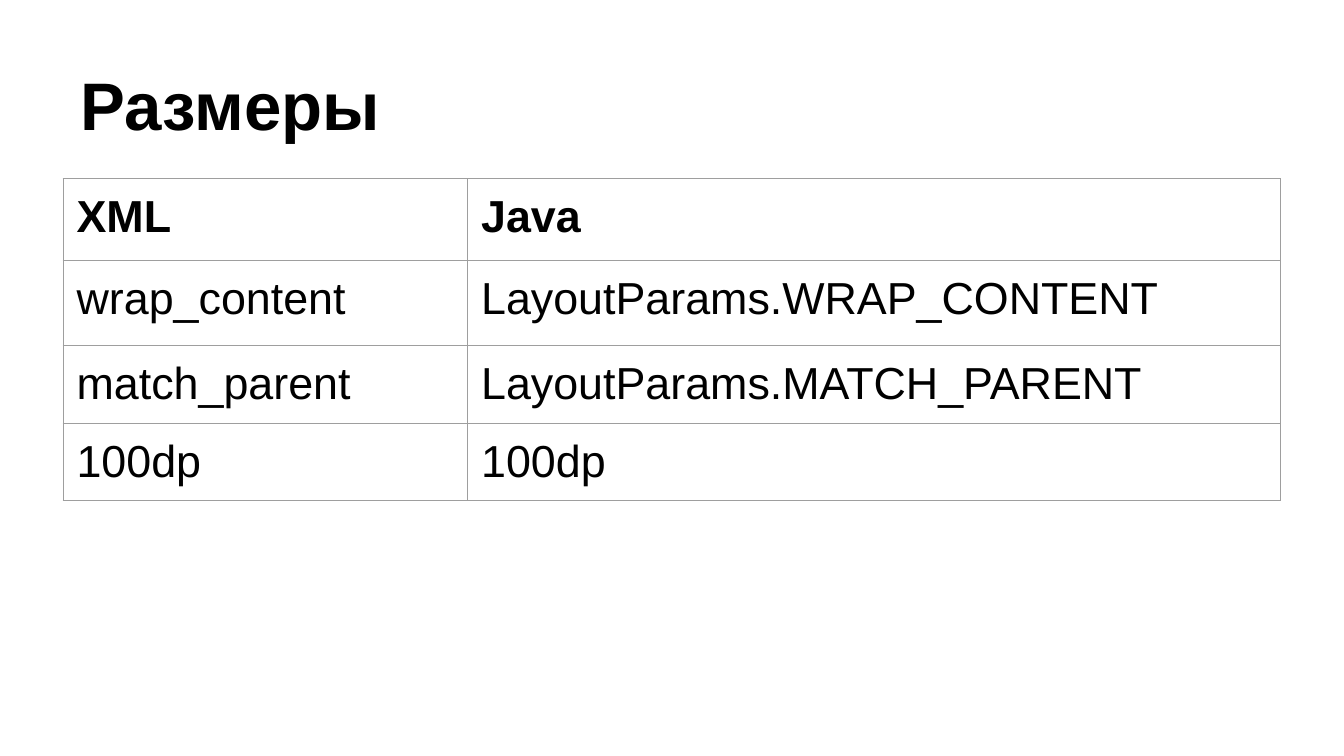
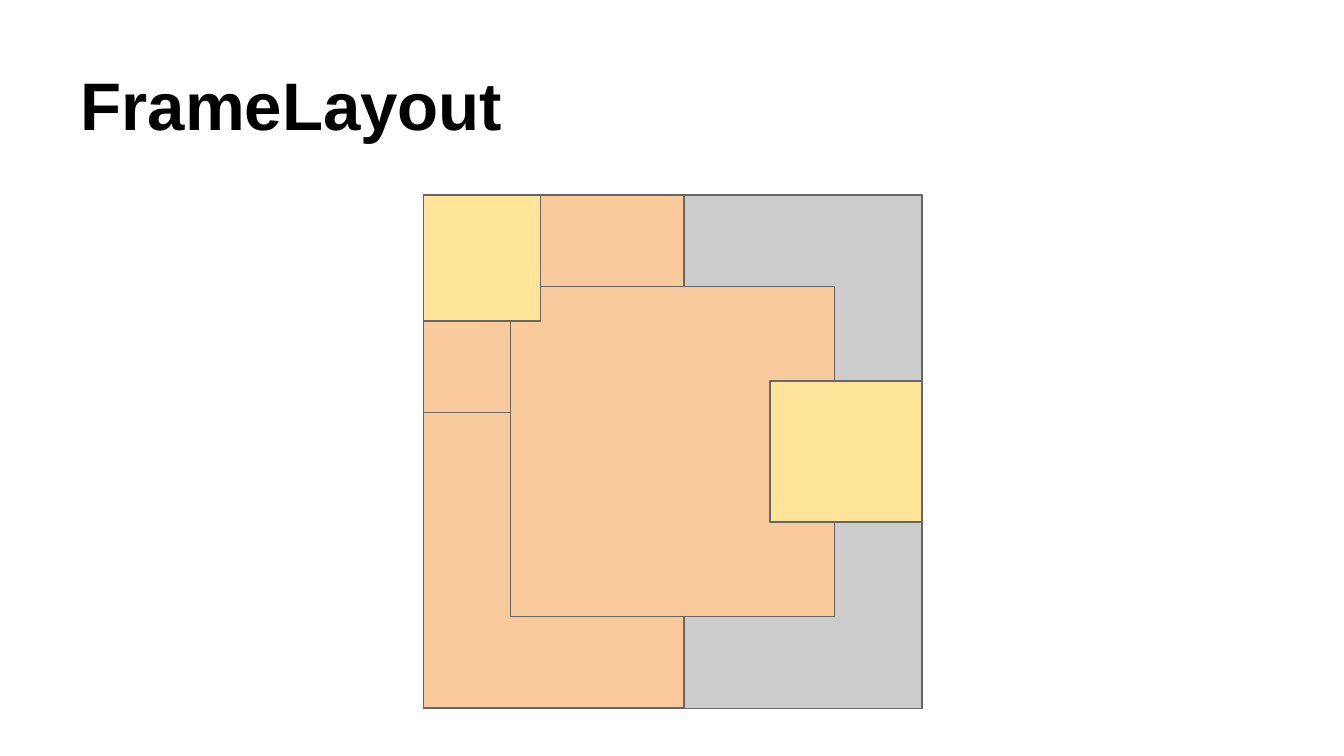
import pptx
import pptx.dml.color
import pptx.enum.shapes
import pptx.enum.text
import pptx.oxml
import pptx.oxml.ns
import pptx.util
from lxml import etree

WIDTH = 10
HEIGHT = WIDTH * 9 / 16
FONT = "Arial"
BLACK, BORDER, OUTLINE = "000000", "9E9E9E", "666666"
GREY, ORANGE, YELLOW = "CCCCCC", "F9CB9C", "FFE599"
INSET, LINE_WIDTH = 0.1, 0.75
TITLE_AREA = (0.5, 0.23, 9, 0.94)

SIZES_TITLE = "Размеры"
SIZES = [
    ("XML", "Java"),
    ("wrap_content", "LayoutParams.WRAP_CONTENT"),
    ("match_parent", "LayoutParams.MATCH_PARENT"),
    ("100dp", "100dp"),
]
TABLE_CORNER = (0.47, 1.33)
COLUMN_WIDTHS = (3.01, 6.05)
ROW_HEIGHTS = (0.61, 0.63, 0.58, 0.56)

FRAME_TITLE = "FrameLayout"
FRAME = (3.15, 1.45, 3.71, 3.82)
# Gravity is the share of free space before the child
START, CENTER, END = 0, 0.5, 1
# Width, height, horizontal gravity, vertical gravity, fill
CHILDREN = [
    (1.94, 1.85, START, START, ORANGE),
    (1.94, 2.2, START, END, ORANGE),
    (2.41, 2.46, CENTER, CENTER, ORANGE),
    (1.13, 1.05, END, CENTER, YELLOW),
    (0.87, 0.94, START, START, YELLOW),
]


def color(value):
    return pptx.dml.color.RGBColor.from_string(value)


def inches(*lengths):
    return [pptx.util.Inches(length) for length in lengths]


def style_text(para, size, bold):
    para.alignment = pptx.enum.text.PP_ALIGN.LEFT
    para.font.name = FONT
    para.font.size = pptx.util.Pt(size)
    para.font.bold = bold
    para.font.color.rgb = color(BLACK)


def set_insets(holder):
    """Give a text frame or a table cell equal margins."""
    for side in ("left", "top", "right", "bottom"):
        setattr(holder, f"margin_{side}", pptx.util.Inches(INSET))


def add_page(deck, title):
    page = deck.slides.add_slide(deck.slide_layouts.get_by_name("Title Only"))
    box = page.shapes.title
    box.left, box.top, box.width, box.height = inches(*TITLE_AREA)
    frame = box.text_frame
    frame.text = title
    frame.auto_size = pptx.enum.text.MSO_AUTO_SIZE.NONE
    frame.vertical_anchor = pptx.enum.text.MSO_ANCHOR.BOTTOM
    set_insets(frame)
    style_text(frame.paragraphs[0], 36, True)
    return page


def add_borders(cell):
    properties = cell._tc.get_or_add_tcPr()
    for index, side in enumerate(("lnL", "lnR", "lnT", "lnB")):
        line = etree.Element(pptx.oxml.ns.qn(f"a:{side}"), w=str(pptx.util.Pt(LINE_WIDTH)))
        fill = etree.SubElement(line, pptx.oxml.ns.qn("a:solidFill"))
        etree.SubElement(fill, pptx.oxml.ns.qn("a:srgbClr"), val=BORDER)
        properties.insert(index, line)


def add_sizes_table(page):
    area = inches(*TABLE_CORNER, sum(COLUMN_WIDTHS), sum(ROW_HEIGHTS))
    table = page.shapes.add_table(len(SIZES), len(COLUMN_WIDTHS), *area).table
    table.first_row = table.horz_banding = False
    for column, width in zip(table.columns, inches(*COLUMN_WIDTHS)):
        column.width = width
    for row, height in zip(table.rows, inches(*ROW_HEIGHTS)):
        row.height = height
    for r, texts in enumerate(SIZES):
        for c, text in enumerate(texts):
            cell = table.cell(r, c)
            cell.text = text
            cell.fill.background()
            set_insets(cell)
            style_text(cell.text_frame.paragraphs[0], 24, r == 0)
            add_borders(cell)


def add_block(page, area, fill):
    block = page.shapes.add_shape(pptx.enum.shapes.MSO_SHAPE.RECTANGLE, *inches(*area))
    block.shadow.inherit = False
    block.fill.solid()
    block.fill.fore_color.rgb = color(fill)
    block.line.color.rgb = color(OUTLINE)
    block.line.width = pptx.util.Pt(LINE_WIDTH)


def add_frame_layout(page):
    left, top, frame_width, frame_height = FRAME
    add_block(page, FRAME, GREY)
    for width, height, across, down, fill in CHILDREN:
        x = left + across * (frame_width - width)
        y = top + down * (frame_height - height)
        add_block(page, (x, y, width, height), fill)


def main():
    deck = pptx.Presentation()
    deck.slide_width, deck.slide_height = inches(WIDTH, HEIGHT)
    add_sizes_table(add_page(deck, SIZES_TITLE))
    add_frame_layout(add_page(deck, FRAME_TITLE))
    deck.save("out.pptx")


if __name__ == "__main__":
    main()
